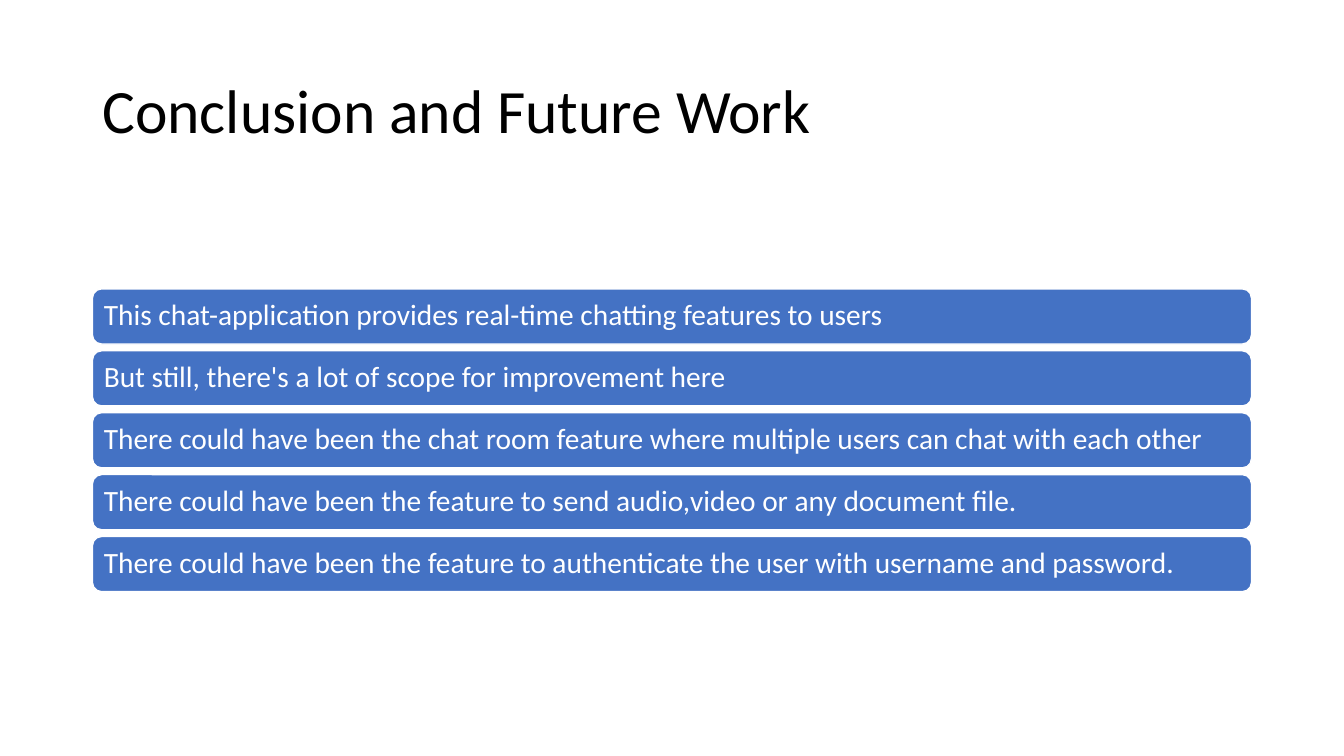
from typing import NamedTuple

from pptx import Presentation
from pptx.dml.color import RGBColor
from pptx.enum.shapes import MSO_SHAPE
from pptx.enum.text import MSO_ANCHOR, PP_ALIGN
from pptx.slide import Slide
from pptx.text.text import TextFrame
from pptx.util import Cm, Pt

ROUND = MSO_SHAPE.ROUNDED_RECTANGLE
MIDDLE = MSO_ANCHOR.MIDDLE
LEFT = PP_ALIGN.LEFT

BLACK = RGBColor(0x00, 0x00, 0x00)
WHITE = RGBColor(0xFF, 0xFF, 0xFF)
BLUE = RGBColor(0x44, 0x72, 0xC4)

FONT = "Calibri"
EDGE, WIDTH = 2.33, 29.21
TOP, STEP, HEIGHT = 7.28, 1.56, 1.39

POINTS = (
    "This chat-application provides real-time chatting features to users",
    "But still, there's a lot of scope for improvement here",
    "There could have been the chat room feature where multiple users can chat with each other",
    "There could have been the feature to send audio,video or any document file.",
    "There could have been the feature to authenticate the user with username and password.",
)


class Bar(NamedTuple):
    text: str
    top: float


def write(frame: TextFrame, text: str, size: int, color: RGBColor) -> None:
    """Fill a frame with one left-aligned, vertically centred paragraph."""
    frame.word_wrap = True
    frame.vertical_anchor = MIDDLE
    line = frame.paragraphs[0]
    line.text = text
    line.alignment = LEFT
    line.line_spacing = 0.9
    line.font.name = FONT
    line.font.size = Pt(size)
    line.font.color.rgb = color


def add_title(slide: Slide, text: str) -> None:
    box = slide.shapes.add_textbox(Cm(EDGE), Cm(1.02), Cm(WIDTH), Cm(3.68))
    write(box.text_frame, text, 44, BLACK)


def add_bar(slide: Slide, bar: Bar) -> None:
    shape = slide.shapes.add_shape(
        ROUND, Cm(EDGE), Cm(bar.top), Cm(WIDTH), Cm(HEIGHT)
    )
    shape.shadow.inherit = False
    shape.fill.solid()
    shape.fill.fore_color.rgb = BLUE
    shape.line.color.rgb = WHITE
    shape.line.width = Pt(1)
    frame = shape.text_frame
    frame.margin_left = frame.margin_right = Cm(0.22)
    frame.margin_top = frame.margin_bottom = Cm(0.1)
    write(frame, bar.text, 21, WHITE)


def main() -> None:
    deck = Presentation()
    deck.slide_width = Cm(33.87)
    deck.slide_height = Cm(19.05)
    slide = deck.slides.add_slide(deck.slide_layouts[6])
    add_title(slide, "Conclusion and Future Work")
    for i, text in enumerate(POINTS):
        add_bar(slide, Bar(text, TOP + i * STEP))
    deck.save("out.pptx")


if __name__ == "__main__":
    main()
